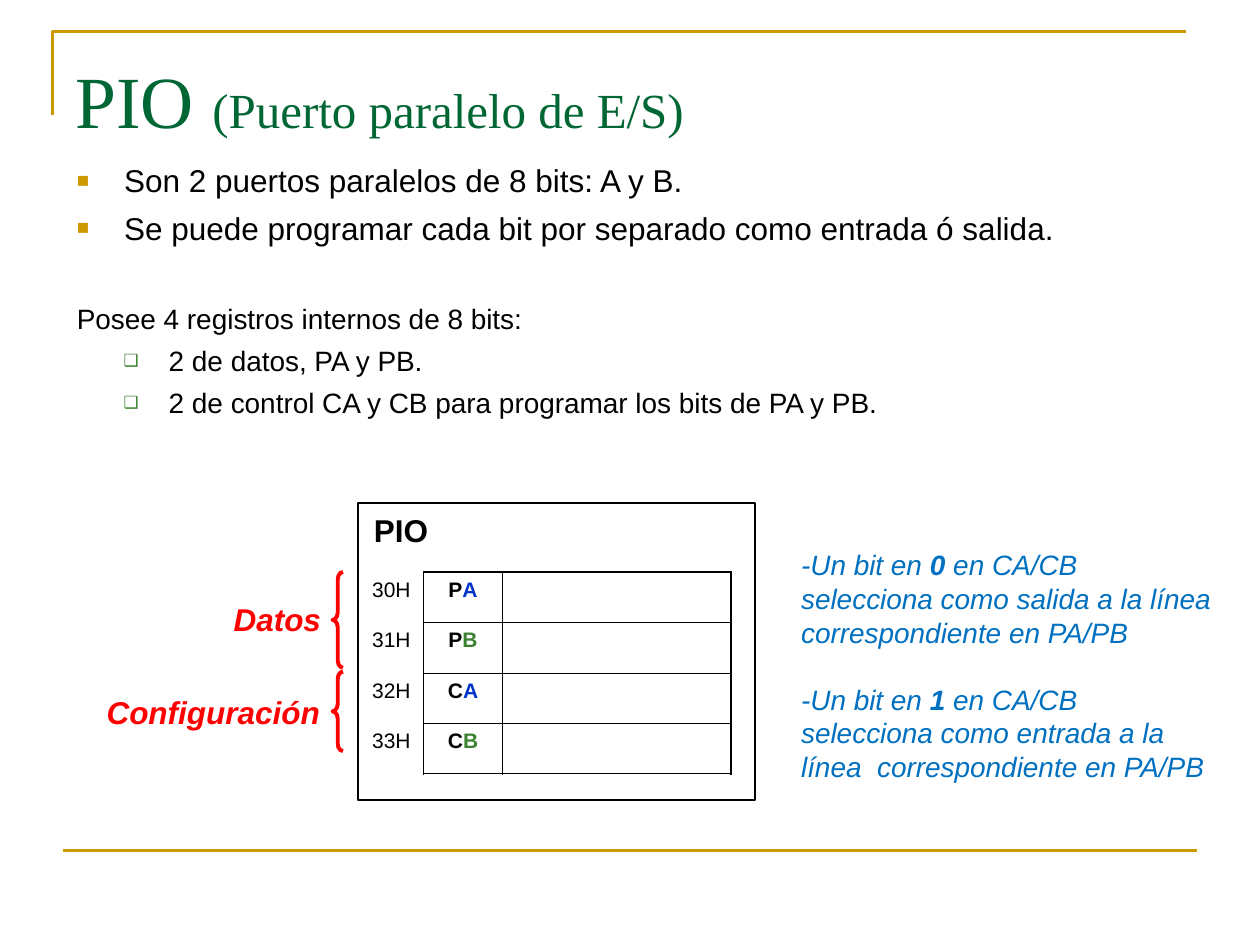
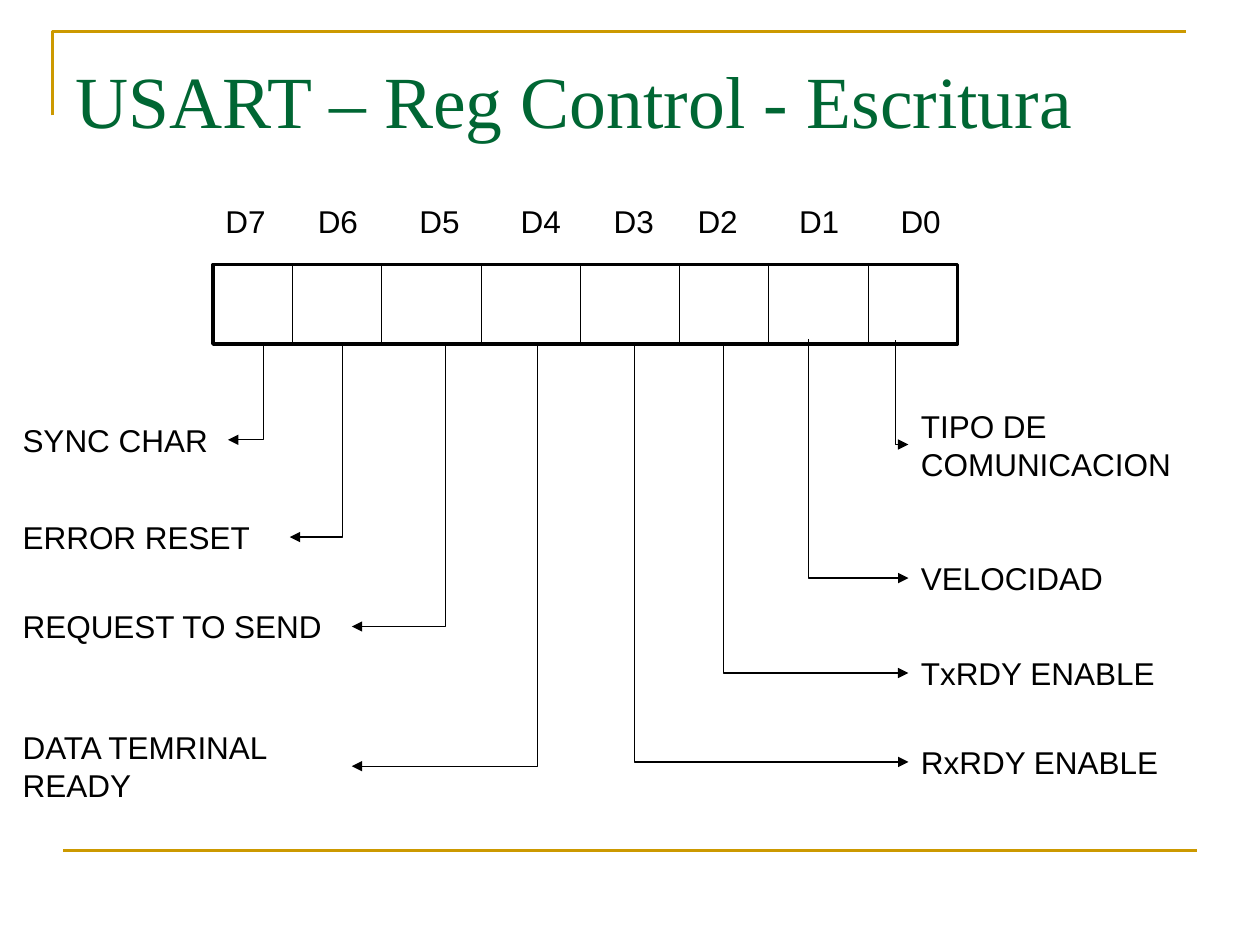
from dataclasses import dataclass

from lxml import etree
from pptx import Presentation
from pptx.dml.color import RGBColor as RGB
from pptx.enum.shapes import MSO_CONNECTOR as CONN, MSO_SHAPE as SHAPE
from pptx.enum.text import MSO_ANCHOR as ANCHOR, MSO_AUTO_SIZE as AUTO, PP_ALIGN as ALIGN
from pptx.oxml.ns import qn
from pptx.util import Pt


@dataclass(frozen=True)
class Theme:
    gold: str = "CC9900"
    title_green: str = "006633"
    green: str = "3B812F"
    blue: str = "0033CC"
    note_blue: str = "0070C0"
    red: str = "FF0000"
    black: str = "000000"
    white: str = "FFFFFF"
    sans: str = "Arial"
    serif: str = "Times New Roman"
    title: float = 42
    subtitle: float = 28
    text: float = 18
    small: float = 16
    cell: float = 12


T = Theme()


# --- Text ---
def style(font, size=None, color=None, name=None, bold=None, italic=None):
    if size:
        font.size = Pt(size)
    if color:
        font.color.rgb = RGB.from_string(color)
    if name:
        font.name = name
    if bold is not None:
        font.bold = bold
    if italic is not None:
        font.italic = italic


def write(p, runs, size=T.text, color=T.black, name=T.sans, **kw):
    """Fill a paragraph; runs is a string or a list of (text, own style)."""
    style(p.font, size, color, name, **kw)
    for text, own in [(runs, {})] if isinstance(runs, str) else runs:
        r = p.add_run()
        r.text = text
        style(r.font, **own)


def add_xml(parent, tag, **attrs):
    return etree.SubElement(parent, qn(tag), attrs)


def set_bullet(p, char, color, percent, left, hang):
    pPr = p._p.get_or_add_pPr()
    pPr.set("marL", str(Pt(left)))
    pPr.set("indent", str(-Pt(hang)))
    if not char:
        add_xml(pPr, "a:buNone")
        return
    add_xml(add_xml(pPr, "a:buClr"), "a:srgbClr", val=color)
    add_xml(pPr, "a:buSzPct", val=str(percent * 1000))
    add_xml(pPr, "a:buChar", char=char)


def set_tabs(p, stops):
    tabs = add_xml(p._p.get_or_add_pPr(), "a:tabLst")
    for stop in stops:
        add_xml(tabs, "a:tab", pos=str(Pt(stop)), algn="l")


def place(sp, left, top, width, height):
    sp.left, sp.top, sp.width, sp.height = Pt(left), Pt(top), Pt(width), Pt(height)


def add_title(slide, runs):
    sp = slide.shapes.title
    place(sp, 36, 21.6, 648, 90)
    tf = sp.text_frame
    tf.auto_size, tf.vertical_anchor = AUTO.NONE, ANCHOR.TOP
    tf.margin_top = Pt(9.6)
    p = tf.paragraphs[0]
    p.alignment = ALIGN.LEFT
    write(p, runs, T.title, T.title_green, T.serif)


def add_label(slide, left, top, width, height, *paragraphs, gap=0, tabs=(), **kw):
    tf = slide.shapes.add_textbox(Pt(left), Pt(top), Pt(width), Pt(height)).text_frame
    tf.word_wrap = True
    for i, runs in enumerate(paragraphs):
        p = tf.add_paragraph() if i else tf.paragraphs[0]
        if tabs:
            set_tabs(p, tabs)
        if i:
            p.space_before = Pt(gap)
        write(p, runs, **kw)


# --- Shapes and lines ---
def set_line(sp, color, width):
    sp.line.color.rgb = RGB.from_string(color)
    sp.line.width = Pt(width)


def add_outline(slide, kind, left, top, width, height, color, weight):
    sp = slide.shapes.add_shape(kind, Pt(left), Pt(top), Pt(width), Pt(height))
    sp.shadow.inherit = False
    sp.fill.background()
    set_line(sp, color, weight)
    return sp


def add_line(slide, x1, y1, x2, y2, color=T.black, width=0.75, kind=CONN.STRAIGHT):
    c = slide.shapes.add_connector(kind, Pt(x1), Pt(y1), Pt(x2), Pt(y2))
    set_line(c, color, width)
    add_xml(c._element.spPr, "a:effectLst")
    return c


def add_elbow_arrow(slide, x, y, tip_x, tip_y):
    """Go down from (x, y), then sideways to the tip: a turned one-bend elbow."""
    right = tip_x > x
    mid_x, mid_y = (x + tip_x) / 2, (y + tip_y) / 2
    half_w, half_h = (tip_y - y) / 2, abs(tip_x - x) / 2
    start = half_w if right else -half_w  # starting at the right end flips it
    c = add_line(slide, mid_x + start, mid_y - half_h, mid_x - start, mid_y + half_h,
                 kind=CONN.ELBOW)
    spPr = c._element.spPr
    spPr.find(qn("a:xfrm")).set("rot", str((270 if right else 90) * 60000))
    spPr.find(qn("a:prstGeom")).set("prst", "bentConnector2")
    add_xml(spPr.find(qn("a:ln")), "a:tailEnd", type="triangle")


def add_master_frame(prs, slide):
    """Draw the gold frame once and hand it to the slide master."""
    ff = slide.shapes.build_freeform(Pt(30), Pt(66))
    ff.add_line_segments([(Pt(30), Pt(18)), (Pt(678), Pt(18))], close=False)
    corner = ff.convert_to_shape()
    corner.shadow.inherit = False
    corner.fill.background()
    set_line(corner, T.gold, 1.5)
    rule = add_line(slide, 36, 486, 684, 486, T.gold, 1.5)
    for sp in (corner, rule):
        prs.slide_master.shapes._spTree.append(sp._element)


# --- Register table ---
def set_borders(cell, **widths):
    tcPr = cell._tc.get_or_add_tcPr()
    for side in "LRTB":
        width = widths.get(side, 0)
        ln = add_xml(tcPr, f"a:ln{side}", w=str(Pt(width)))
        if width:
            add_xml(add_xml(ln, "a:solidFill"), "a:srgbClr", val=T.black)
        else:
            add_xml(ln, "a:noFill")


def add_register_table(slide, registers):
    widths, row_h, thin, thick = (40.3, 45.4, 130.3), 28.8, 0.45, 1.08
    last = len(registers) - 1
    frame = slide.shapes.add_table(len(registers), 3, Pt(201.6), Pt(326.9),
                                   Pt(sum(widths)), Pt(row_h * len(registers)))
    table = frame.table
    table.first_row = table.horz_banding = False
    for column, width in zip(table.columns, widths):
        column.width = Pt(width)
    for i, (address, first, second, color) in enumerate(registers):
        table.rows[i].height = Pt(row_h)
        port = [(first, {}), (second, {"color": color})]
        contents = ((address, ALIGN.RIGHT, False), (port, ALIGN.CENTER, True))
        for j, (runs, align, bold) in enumerate(contents):
            p = table.cell(i, j).text_frame.paragraphs[0]
            p.alignment, p.space_before = align, Pt(3)
            write(p, runs, T.cell, bold=bold)
        empty = table.cell(i, 2).text_frame.paragraphs[0]
        empty._p.get_or_add_endParaRPr().set("sz", str(T.cell * 100))
        edges = {"T": thin if i else thick, "B": thick if i == last else thin}
        set_borders(table.cell(i, 0), R=thin)
        set_borders(table.cell(i, 1), L=thin, R=thin, **edges)
        set_borders(table.cell(i, 2), L=thin, R=thick, **edges)
        for j in range(3):
            table.cell(i, j).fill.background()


# --- Slides ---
def fill_pio(slide):
    add_title(slide, [("PIO ", {}), ("(Puerto paralelo de E/S)", {"size": T.subtitle})])

    # Bullet list
    square = ("■", T.gold, 65, 27, 27)
    plain = (None, None, None, 0, 0)
    box = ("❑", T.green, 60, 52.5, 25.8)
    items = [
        ("Son 2 puertos paralelos de 8 bits: A y B.", square, T.text, 5.5),
        ("Se puede programar cada bit por separado como entrada ó salida.",
         square, T.text, 5.5),
        ("Posee 4 registros internos de 8 bits:", plain, T.small, 31.5),
        ("2 de datos, PA y PB.", box, T.small, 4.8),
        ("2 de control CA y CB para programar los bits de PA y PB.", box, T.small, 4.8),
    ]
    body = slide.placeholders[1]
    place(body, 36.7, 88.6, 641.5, 396.7)
    tf = body.text_frame
    tf.auto_size = AUTO.NONE
    for i, (text, bullet, size, before) in enumerate(items):
        p = tf.add_paragraph() if i else tf.paragraphs[0]
        p.level = int(bullet is box)
        set_bullet(p, *bullet)
        p.space_before = Pt(before)
        write(p, text, size)

    # Chip with its registers
    add_outline(slide, SHAPE.RECTANGLE, 204.5, 287.3, 226.8, 169.9, T.black, 1)
    add_label(slide, 206.6, 288.7, 60, 29, "PIO", bold=True)
    add_register_table(slide, [
        ("30H", "P", "A", T.blue), ("31H", "P", "B", T.green),
        ("32H", "C", "A", T.blue), ("33H", "C", "B", T.green),
    ])

    # Braces and their names
    for name, left, top, brace_top, brace_h in (
            ("Datos", 126.4, 339.1, 326.9, 54.7),
            ("Configuración", 53.8, 392.4, 383.8, 45.4)):
        brace = add_outline(slide, SHAPE.LEFT_BRACE, 190, brace_top, 6, brace_h, T.red, 2.25)
        brace.adjustments[0] = 0.7
        add_label(slide, left, top, 194.2 - left, 29, name,
                  color=T.red, bold=True, italic=True)

    # Meaning of each control bit
    strong = {"bold": True}
    add_label(
        slide, 450.7, 309.6, 249.8, 141.8,
        [("-Un bit en", {}), (" 0 ", strong),
         ("en CA/CB selecciona como salida a la línea correspondiente en PA/PB", {})],
        [("-Un bit en ", {}), ("1", strong),
         (" en CA/CB selecciona como entrada a la línea  correspondiente en PA/PB", {})],
        gap=19.2, size=T.small, color=T.note_blue, italic=True)


def fill_usart(slide):
    add_title(slide, "USART – Reg Control - Escritura")

    # Register and its bit names
    top, bottom = 151.2, 196.6
    register = add_outline(slide, SHAPE.RECTANGLE, 121.7, top, 425.5, bottom - top, T.black, 2)
    register.fill.solid()
    register.fill.fore_color.rgb = RGB.from_string(T.white)
    for x in (167, 218.2, 275, 331.9, 388.1, 439.2, 496.1):
        add_line(slide, x, top, x, bottom)
    add_label(slide, 121.7, 111.6, 425.5, 29, "\t".join(f"D{bit}" for bit in range(7, -1, -1)),
              tabs=(52.8, 110.9, 168.7, 221.9, 269.8, 327.8, 385.8))

    # Signals: name, label left, top, width, height, then arrow start and tip
    left, right = 5.8, 519.1
    signals = [
        ("SYNC CHAR", left, 236.9, 124.6, 29, 150.5, bottom, 130.3, 251.3),
        ("ERROR RESET", left, 292.3, 144.7, 29, 195.8, bottom, 165.6, 306.9),
        ("REQUEST TO SEND", left, 343.4, 195.8, 29, 254.4, bottom, 201, 358),
        ("DATA TEMRINAL READY", left, 412.6, 195.8, 50.4, 307, bottom, 201, 437.8),
        ("RxRDY ENABLE", right, 421.2, 195.8, 29, 362.6, bottom, right, 435.4),
        ("TxRDY ENABLE", right, 370.1, 195.8, 29, 413.3, bottom, right, 384.6),
        ("VELOCIDAD", right, 316.1, 195.8, 29, 461.8, 193.7, right, 330.4),
        ("TIPO DE COMUNICACION", right, 229, 195.8, 50.4, 511.9, 194.4, right, 254),
    ]
    for name, x, y, width, height, *arrow in signals:
        add_label(slide, x, y, width, height, name)
        add_elbow_arrow(slide, *arrow)


def main():
    prs = Presentation()
    prs.slide_width, prs.slide_height = Pt(720), Pt(540)
    pio = prs.slides.add_slide(prs.slide_layouts[1])
    usart = prs.slides.add_slide(prs.slide_layouts[5])
    add_master_frame(prs, pio)
    fill_pio(pio)
    fill_usart(usart)
    prs.save("out.pptx")


if __name__ == "__main__":
    main()
